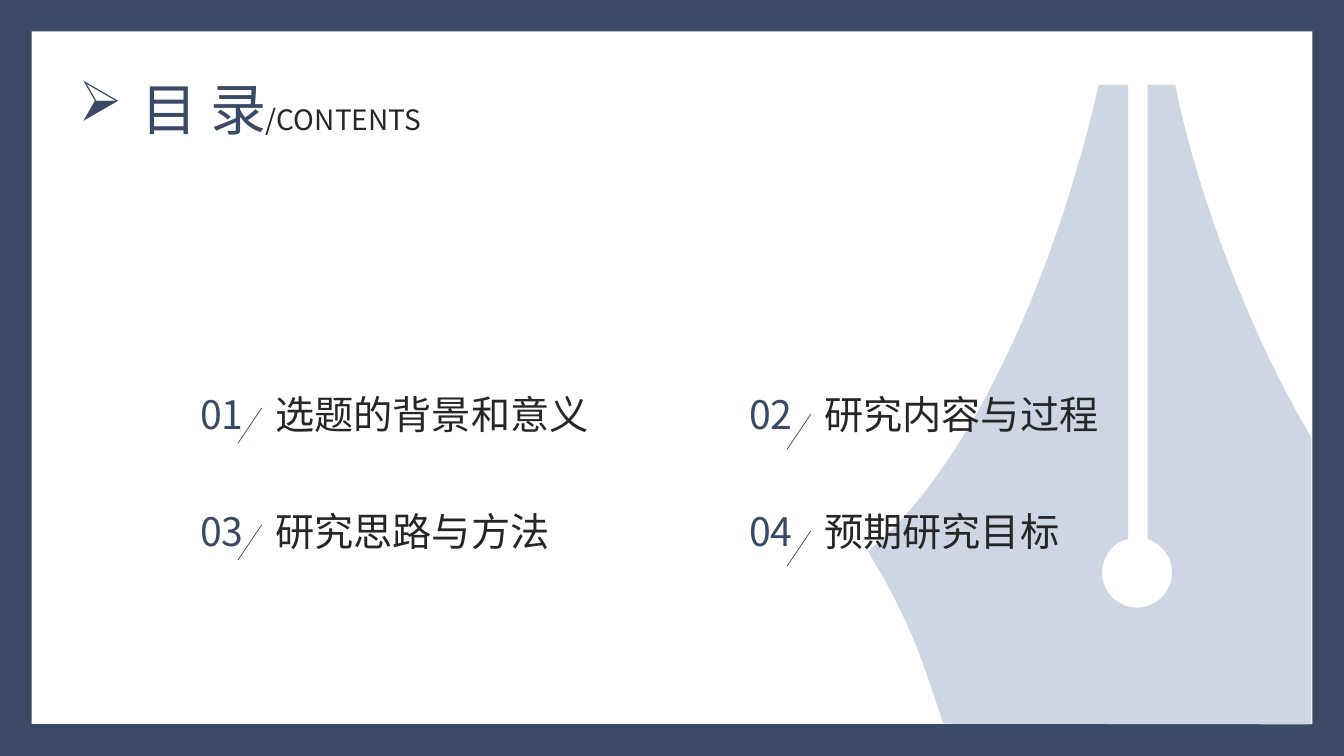
from dataclasses import dataclass

from lxml.etree import SubElement
from pptx import Presentation
from pptx.dml.color import RGBColor
from pptx.enum.shapes import MSO_CONNECTOR, MSO_SHAPE
from pptx.enum.text import MSO_AUTO_SIZE
from pptx.oxml.ns import qn
from pptx.util import Pt


@dataclass(frozen=True)
class Theme:
    """Colours, font and type sizes of the slide."""
    navy: RGBColor = RGBColor.from_string("394966")
    paper: RGBColor = RGBColor.from_string("FFFFFF")
    mist: RGBColor = RGBColor.from_string("CED6E4")
    ink: RGBColor = RGBColor.from_string("262626")
    font: str = "Noto Sans CJK SC"
    title: int = 40
    entry: int = 28
    subtitle: int = 20


class ContentsSlide:
    """Draws the elements of a slide in one theme."""

    def __init__(self, deck, theme):
        """Add a blank slide with the theme background."""
        self.theme = theme
        self.slide = deck.slides.add_slide(deck.slide_layouts[6])
        backdrop = self.slide.background.fill
        backdrop.solid()
        backdrop.fore_color.rgb = theme.navy

    def paint(self, shape, color):
        """Give a shape a plain fill without line or shadow."""
        shape.shadow.inherit = False
        shape.fill.solid()
        shape.fill.fore_color.rgb = color
        shape.line.fill.background()

    def panel(self, left, top, width, height, color):
        """Add a filled rectangle."""
        bounds = map(Pt, (left, top, width, height))
        self.paint(self.slide.shapes.add_shape(MSO_SHAPE.RECTANGLE, *bounds), color)

    def outline(self, start, segments, color):
        """Add a closed outline of lines (one point) and cubic curves (three points)."""
        units = 100
        anchors = [(x * units, y * units) for x, y in (segment[-1] for segment in segments)]
        builder = self.slide.shapes.build_freeform(
            start[0] * units, start[1] * units, scale=Pt(1) / units)
        builder.add_line_segments(anchors, close=True)
        shape = builder.convert_to_shape()
        left, top = (min(axis) for axis in zip(*anchors))
        for edge, segment in zip(list(shape._element.iter(qn("a:lnTo"))), segments):
            if len(segment) == 3:
                edge.tag = qn("a:cubicBezTo")
                edge.remove(edge[0])
                for x, y in segment:
                    SubElement(edge, qn("a:pt"), x=str(round(x * units - left)),
                               y=str(round(y * units - top)))
        self.paint(shape, color)

    def text(self, left, top, width, height, runs, bullet=None, indent=0):
        """Add a one-paragraph text box of (words, size, color) runs."""
        frame = self.slide.shapes.add_textbox(*map(Pt, (left, top, width, height))).text_frame
        frame.word_wrap = True
        frame.auto_size = MSO_AUTO_SIZE.SHAPE_TO_FIT_TEXT
        paragraph = frame.paragraphs[0]
        if bullet:
            properties = paragraph._p.get_or_add_pPr()
            properties.set("marL", str(Pt(indent)))
            properties.set("indent", str(-Pt(indent)))
            SubElement(properties, qn("a:buFont"), typeface="Wingdings", charset="2")
            SubElement(properties, qn("a:buChar"), char=bullet)
        for words, size, color in runs:
            run = paragraph.add_run()
            run.text = words
            for name, value in {"name": self.theme.font, "size": Pt(size)}.items():
                setattr(run.font, name, value)
            run.font.color.rgb = color
            SubElement(run.font._element, qn("a:ea"), typeface=self.theme.font)

    def slash(self, x, y, run, rise):
        """Add a thin slanted line going down and left from a point."""
        line = self.slide.shapes.add_connector(
            MSO_CONNECTOR.STRAIGHT, *map(Pt, (x, y, x - run, y + rise)))
        line.line.color.rgb = self.theme.navy
        line.line.width = Pt(0.5)
        SubElement(line._element.spPr, qn("a:effectLst"))


def main():
    """Build and save the contents slide."""
    deck = Presentation()
    deck.slide_width, deck.slide_height = Pt(960), Pt(540)
    theme = Theme()
    page = ContentsSlide(deck, theme)
    page.panel(22.5, 22.5, 915, 494.6, theme.paper)

    nib_top, slit_left, slit_right, slit_end = 60.7, 805.8, 819.8, 385.2
    shoulder = (839.5, nib_top)
    page.outline(shoulder, [
        [(slit_right, nib_top)],
        [(slit_right, slit_end)],
        [(822, 385.9)],
        [(831, 389.7), (837.2, 398.6), (837.2, 409)],
        [(837.2, 422.8), (826, 434), (812.2, 434)],
        [(798.4, 434), (787.2, 422.8), (787.2, 409)],
        [(787.2, 398.6), (793.4, 389.7), (802.4, 385.9)],
        [(slit_left, slit_end)],
        [(slit_left, nib_top)],
        [(784.8, nib_top)],
        [(751, 208.8), (687.6, 339.1), (619.9, 393.8)],
        [(650.2, 443.5), (657.4, 468), (673.9, 517)],
        [(936.7, 517.4)],
        [(936.7, 312.5)],
        [(928.1, 297.4)],
        [(887, 224.6), (853.2, 129.6), shoulder],
    ], theme.mist)

    topics = ["选题的背景和意义", "研究内容与过程", "研究思路与方法", "预期研究目标"]
    columns = [(135.8, 16), (528, 20.4)]
    for index, topic in enumerate(topics):
        row, column = divmod(index, 2)
        left, slash_drop = columns[column]
        top = 275.4 + row * 83.4
        page.text(left, top, 68.4, 41, [(f"{index + 1:02}", theme.entry, theme.navy)])
        page.text(left + 53.8, top, 247, 41, [(topic, theme.entry, theme.ink)])
        page.slash(left + 51.2, top + slash_drop, 17, 25.2)

    page.text(49, 49.7, 281.5, 55.4, [
        ("目 录", theme.title, theme.navy),
        ("/CONTENTS", theme.subtitle, theme.ink),
    ], bullet="Ø", indent=45)
    deck.save("out.pptx")


if __name__ == "__main__":
    main()
